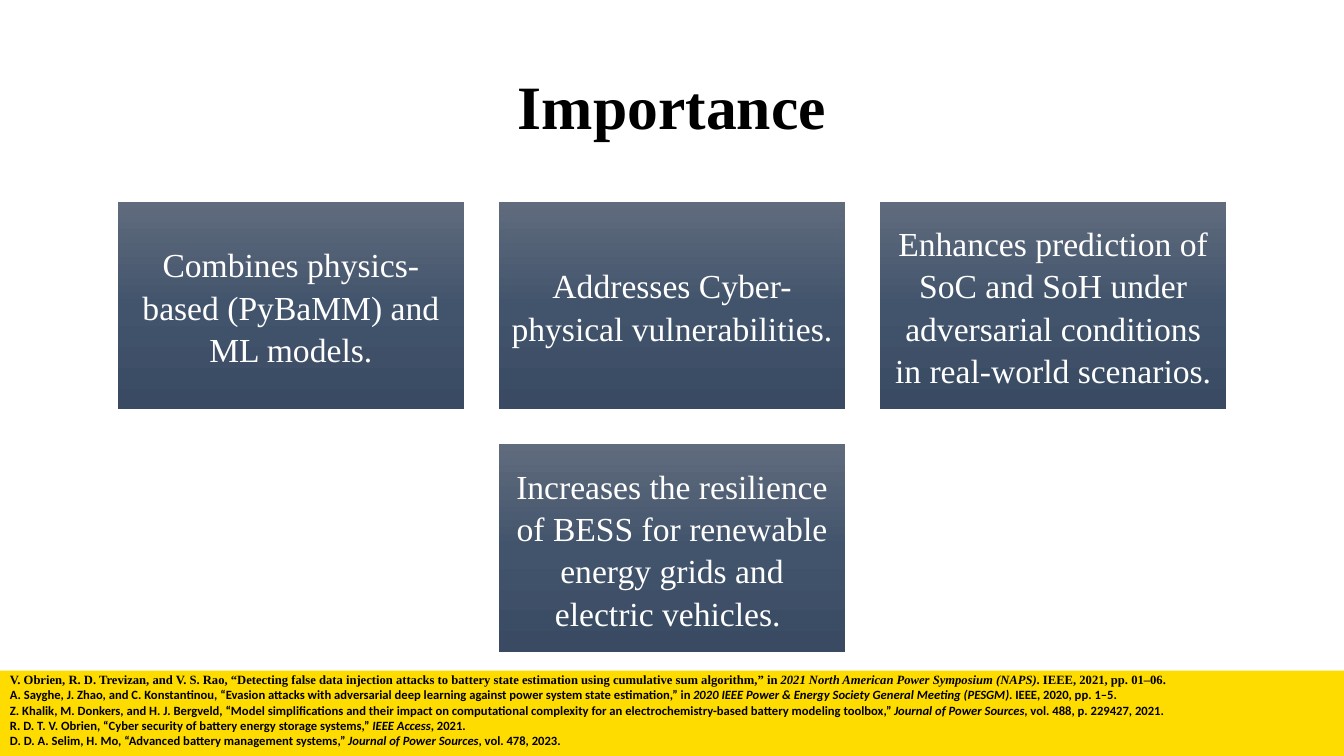
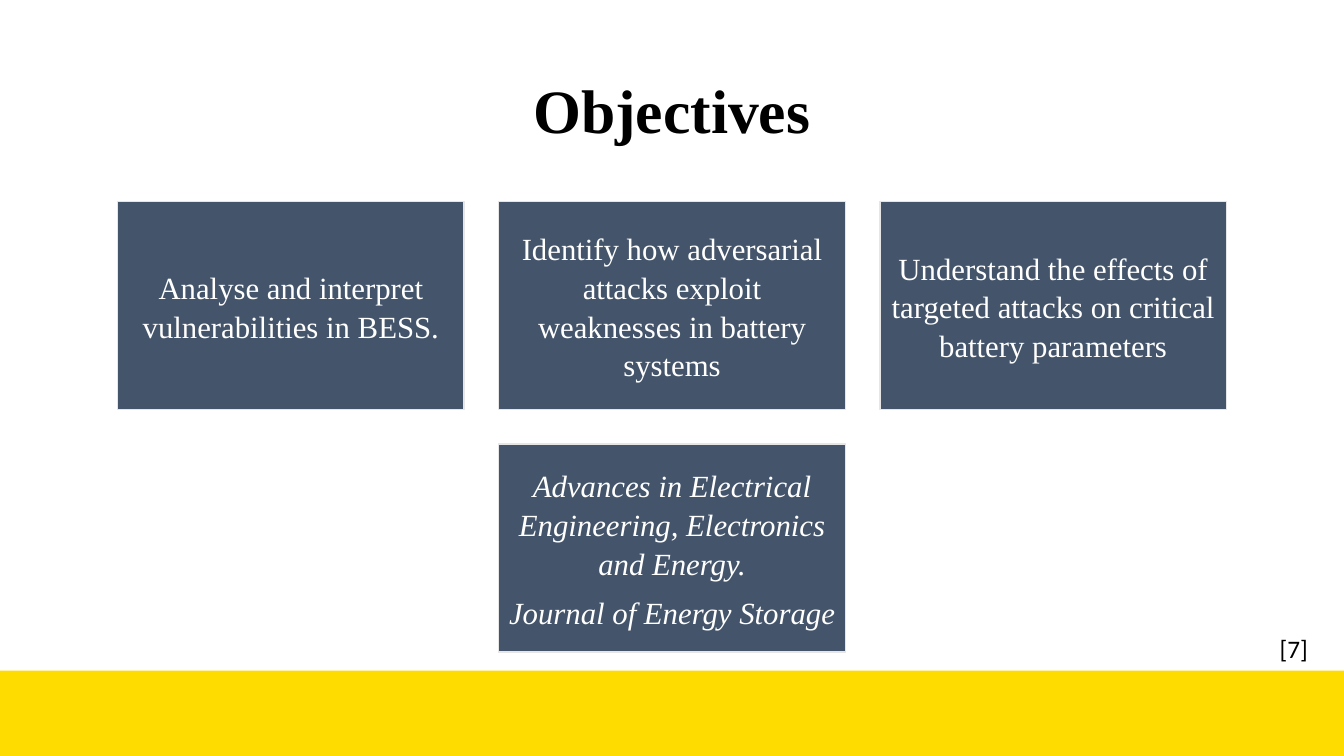
from copy import deepcopy

from pptx import Presentation
from pptx.dml.color import RGBColor
from pptx.enum.shapes import MSO_SHAPE
from pptx.enum.text import MSO_ANCHOR, PP_ALIGN
from pptx.oxml.ns import qn
from pptx.util import Pt

RECT = MSO_SHAPE.RECTANGLE
TOP, MIDDLE = MSO_ANCHOR.TOP, MSO_ANCHOR.MIDDLE
LEFT, CENTER = PP_ALIGN.LEFT, PP_ALIGN.CENTER
SERIF, SANS = "Times New Roman", "Calibri"

HEX = {
    "band": "FFDC00",
    "ink": "000000",
    "paper": "FFFFFF",
    "slate": "44546A",
    "edge": "E7E6E6",
    "light": "606B7D",
    "mid": "42546C",
    "dark": "394A62",
}
COLOR = {name: RGBColor.from_string(code) for name, code in HEX.items()}

TITLE = {"size": Pt(44), "name": SERIF, "bold": True}
CITE = {"size": Pt(9), "bold": True}
PAGE = {"size": Pt(18), "name": SANS}

WIDE, HIGH, GAP = 247.5, 148.5, 24.75
SPOTS = [(0, 0), (1, 0), (2, 0), (1, 1)]

DECK = [
    {
        "title": "Importance",
        "top": 26,
        "size": 24,
        "inset": 7.2,
        "cards": [
            [[("Combines physics-based (PyBaMM) and ML models.", False)]],
            [[("Addresses Cyber-physical vulnerabilities.", False)]],
            [[("Enhances prediction of SoC and SoH under adversarial conditions "
               "in real-world scenarios.", False)]],
            [[("Increases the resilience of BESS for renewable energy grids "
               "and electric vehicles. ", False)]],
        ],
    },
    {
        "title": "Objectives",
        "top": 29,
        "size": 22,
        "inset": 6.6,
        "cards": [
            [[("Analyse and interpret vulnerabilities in BESS.", False)]],
            [[("Identify how adversarial attacks exploit weaknesses "
               "in battery systems", False)]],
            [[("Understand the effects of targeted attacks on critical "
               "battery parameters", False)]],
            [[("Advances in Electrical Engineering, Electronics and Energy.", True)],
             [("Journal of Energy Storage", True)]],
        ],
    },
]

CITES = [
    (SERIF,
     "V. Obrien, R. D. Trevizan, and V. S. Rao, “Detecting false data injection "
     "attacks to battery state estimation using cumulative sum algorithm,” in ",
     "2021 North American Power Symposium (NAPS)", ". IEEE, 2021, pp. 01–06."),
    (SANS,
     "A. Sayghe, J. Zhao, and C. Konstantinou, “Evasion attacks with adversarial "
     "deep learning against power system state estimation,” in ",
     "2020 IEEE Power & Energy Society General Meeting (PESGM)",
     ". IEEE, 2020, pp. 1–5."),
    (SANS,
     "Z. Khalik, M. Donkers, and H. J. Bergveld, “Model simplifications and their "
     "impact on computational complexity for an electrochemistry-based battery "
     "modeling toolbox,” ",
     "Journal of Power Sources", ", vol. 488, p. 229427, 2021."),
    (SANS,
     "R. D. T. V. Obrien, “Cyber security of battery energy storage systems,” ",
     "IEEE Access", ", 2021."),
    (SANS,
     "D. D. A. Selim, H. Mo, “Advanced battery management systems,” ",
     "Journal of Power Sources", ", vol. 478, 2023."),
]


def block(slide, left, top, width, height, color):
    box = slide.shapes.add_shape(RECT, Pt(left), Pt(top), Pt(width), Pt(height))
    box.shadow.inherit = False
    box.line.fill.background()
    box.fill.solid()
    box.fill.fore_color.rgb = COLOR[color]
    return box


def write(box, paras, style, color, align=LEFT, anchor=TOP, space=None):
    frame = box.text_frame
    frame.word_wrap = True
    frame.vertical_anchor = anchor
    for num, runs in enumerate(paras):
        para = frame.add_paragraph() if num else frame.paragraphs[0]
        para.alignment = align
        if space:
            para.line_spacing = space
        for text, slant, *face in runs:
            run = para.add_run()
            run.text = text
            for key, value in style.items():
                setattr(run.font, key, value)
            if face:
                run.font.name = face[0]
            run.font.italic = slant
            run.font.color.rgb = COLOR[color]
    return frame


deck = Presentation()
deck.slide_width, deck.slide_height = Pt(960), Pt(540)
slides = []

for page in DECK:
    slide = deck.slides.add_slide(deck.slide_layouts[6])
    slides.append(slide)
    block(slide, 0, 479, 960, 61, "band")
    head = slide.shapes.add_textbox(Pt(66), Pt(page["top"]), Pt(828), Pt(104))
    write(head, [[(page["title"], False)]], TITLE, "ink", CENTER, MIDDLE, 0.9)

    style = {"size": Pt(page["size"]), "name": SERIF}
    for (col, row), paras in zip(SPOTS, page["cards"]):
        card = block(slide, 84 + col * (WIDE + GAP), 144 + row * (HIGH + GAP),
                     WIDE, HIGH, "slate")
        frame = write(card, paras, style, "paper", CENTER, MIDDLE, 1.05)
        for side in ("left", "top", "right", "bottom"):
            setattr(frame, "margin_" + side, Pt(page["inset"]))
        for para in frame.paragraphs[:-1]:
            para.space_after = Pt(7.7)
        if page["title"] == "Importance":
            card.fill.gradient()
            stops = card._element.spPr.find(".//" + qn("a:gsLst"))
            stops.append(deepcopy(stops[-1]))
            for stop, tone, pos in zip(card.fill.gradient_stops,
                                       ("light", "mid", "dark"), (0, 0.5, 1)):
                stop.color.rgb = COLOR[tone]
                stop.position = pos
            card.fill.gradient_angle = 270
        else:
            card.line.color.rgb = COLOR["edge"]
            card.line.width = Pt(1)

first, last = slides
notes = first.shapes.add_textbox(Pt(0), Pt(476.6), Pt(907), Pt(62))
write(notes,
      [[(lead, False, face), (work, True, face), (tail, False, face)]
       for face, lead, work, tail in CITES],
      CITE, "ink")

mark = last.shapes.add_textbox(Pt(907), Pt(448.6), Pt(53), Pt(29))
write(mark, [[("[7]", False)]], PAGE, "ink")

deck.save("out.pptx")
